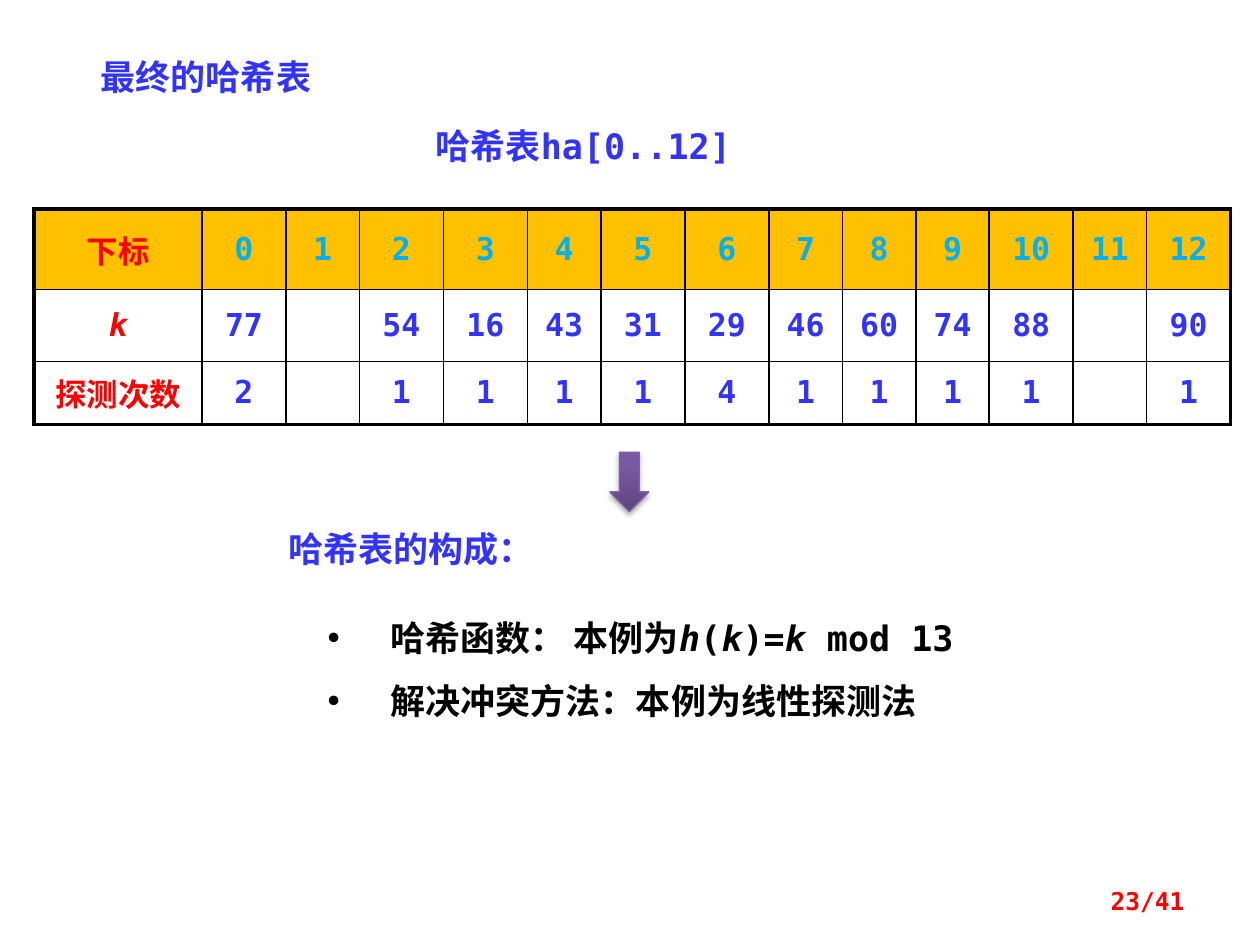
from dataclasses import dataclass

from lxml import etree
from pptx import Presentation
from pptx.dml.color import RGBColor
from pptx.enum.shapes import MSO_SHAPE
from pptx.enum.text import MSO_ANCHOR, MSO_AUTO_SIZE, PP_ALIGN
from pptx.oxml import parse_xml
from pptx.oxml.ns import qn
from pptx.util import Inches, Pt

DOWN_ARROW = MSO_SHAPE.DOWN_ARROW
TOP, MIDDLE = MSO_ANCHOR.TOP, MSO_ANCHOR.MIDDLE
LEFT, CENTER, RIGHT = PP_ALIGN.LEFT, PP_ALIGN.CENTER, PP_ALIGN.RIGHT
NO_AUTOSIZE = MSO_AUTO_SIZE.NONE

GRID_COLUMNS = 100
SLIDE_WIDTH, SLIDE_HEIGHT = Inches(10), Inches(7.5)
UNIT = SLIDE_WIDTH // GRID_COLUMNS
DRAWING = 'xmlns:a="http://schemas.openxmlformats.org/drawingml/2006/main"'
FONT = "DejaVu Sans Mono"
BLUE, RED, BLACK, WHITE = "3333FF", "FF0000", "000000", "FFFFFF"
SKY, AMBER, PURPLE = "00B0F0", "FFC000", "7D60A0"
THICK, THIN = 2.25, 1


@dataclass
class Area:
    column: float
    row: float
    columns: float
    rows: float

    def lengths(self) -> tuple:
        return tuple(int(n * UNIT) for n in (self.column, self.row, self.columns, self.rows))


@dataclass
class Label:
    text: str
    area: Area
    size: float = 20
    color: str = BLUE
    align: PP_ALIGN = LEFT
    anchor: MSO_ANCHOR = TOP


@dataclass
class TableRow:
    heading: str
    values: list
    rows: float
    color: str
    fill: str = ""
    italic_heading: bool = False


TITLE = Label("最终的哈希表", Area(7, 3.9, 30.5, 4.4))
LABELS = [
    Label("哈希表ha[0..12]", Area(33.6, 9.4, 29.7, 4.4)),
    Label("哈希表的构成：", Area(21.9, 41.4, 24.2, 4.4)),
    Label("23/41", Area(71.7, 69.5, 23.3, 4), 14, RED, RIGHT, MIDDLE),
]
TABLE_ROWS = [
    TableRow("下标", list(range(13)), 6.4, SKY, AMBER),
    TableRow("k", [77, "", 54, 16, 43, 31, 29, 46, 60, 74, 88, "", 90], 5.7, BLUE,
             italic_heading=True),
    TableRow("探测次数", [2, "", 1, 1, 1, 1, 4, 1, 1, 1, 1, "", 1], 5, BLUE),
]
NARROW_INDEXES = {1, 4, 7, 8, 9, 11}
COLUMN_WIDTHS = [13.33] + [5.83 if i in NARROW_INDEXES else 6.67 for i in range(13)]
TABLE_AREA = Area(2.7, 16.6, sum(COLUMN_WIDTHS), sum(row.rows for row in TABLE_ROWS))
LIST_AREA = Area(25, 46.5, 57.8, 11.5)
LIST_ITEMS = [
    [("哈希函数： 本例为", False), ("h", True), ("(", False), ("k", True),
     (")=", False), ("k", True), (" mod 13", False)],
    [("解决冲突方法：本例为线性探测法", False)],
]
ARROW_AREA = Area(48.4, 35.9, 3.1, 4.7)
ARROW_STOPS = [(0, "5F4480"), (80, "7B58A6"), (100, "7C57A8")]


def rgb(color: str) -> RGBColor:
    return RGBColor.from_string(color)


def style(para, size: float, color: str, italic: bool = False) -> None:
    font = para.font
    font.name, font.size, font.bold, font.italic = FONT, Pt(size), True, italic
    font.color.rgb = rgb(color)


def place(shape, area: Area) -> None:
    shape.left, shape.top, shape.width, shape.height = area.lengths()


def write_label(box, label: Label) -> None:
    frame = box.text_frame
    frame.word_wrap, frame.auto_size = True, NO_AUTOSIZE
    frame.vertical_anchor = label.anchor
    para = frame.paragraphs[0]
    para.text, para.alignment = label.text, label.align
    style(para, label.size, label.color)


def set_borders(cell, widths: dict) -> None:
    for side, width in widths.items():
        cell._tc.get_or_add_tcPr().append(parse_xml(
            f'<a:ln{side} {DRAWING} w="{Pt(width)}"><a:solidFill>'
            f'<a:srgbClr val="{BLACK}"/></a:solidFill></a:ln{side}>'))


def draw_table(page) -> None:
    table = page.shapes.add_table(
        len(TABLE_ROWS), len(COLUMN_WIDTHS), *TABLE_AREA.lengths()).table
    for column, width in zip(table.columns, COLUMN_WIDTHS):
        column.width = int(width * UNIT)
    last_row, last_column = len(TABLE_ROWS) - 1, len(COLUMN_WIDTHS) - 1
    for r, row in enumerate(TABLE_ROWS):
        table.rows[r].height = int(row.rows * UNIT)
        for c, value in enumerate([row.heading] + row.values):
            cell = table.cell(r, c)
            set_borders(cell, {
                "L": THICK if c == 0 else THIN,
                "R": THICK if c == last_column else THIN,
                "T": THICK if r == 0 else THIN,
                "B": THICK if r == last_row else THIN,
            })
            if row.fill:
                cell.fill.solid()
                cell.fill.fore_color.rgb = rgb(row.fill)
            else:
                cell.fill.background()
            cell.vertical_anchor = MIDDLE
            para = cell.text_frame.paragraphs[0]
            para.text, para.alignment = str(value), CENTER
            heading = c == 0
            style(para, 18, RED if heading else row.color, heading and row.italic_heading)


def write_list(body) -> None:
    place(body, LIST_AREA)
    body.fill.solid()
    body.fill.fore_color.rgb = rgb(WHITE)
    frame = body.text_frame
    frame.word_wrap, frame.auto_size = True, NO_AUTOSIZE
    frame.vertical_anchor = TOP
    frame.margin_top, frame.margin_bottom = Inches(0.08), Inches(0.12)
    for number, item in enumerate(LIST_ITEMS):
        para = frame.add_paragraph() if number else frame.paragraphs[0]
        para.line_spacing, para.space_before = 1.5, Pt(0)
        properties = para._p.get_or_add_pPr()
        properties.set("marL", str(Inches(0.5)))
        properties.set("indent", str(-Inches(0.5)))
        etree.SubElement(properties, qn("a:buChar")).set("char", "•")
        style(para, 20, BLACK)
        for text, italic in item:
            span = para.add_run()
            span.text = text
            if italic:
                span.font.italic = True


def draw_arrow(page) -> None:
    arrow = page.shapes.add_shape(DOWN_ARROW, *ARROW_AREA.lengths())
    arrow.line.color.rgb = rgb(PURPLE)
    arrow.line.width = Pt(0.75)
    stops = "".join(f'<a:gs pos="{share * 1000}"><a:srgbClr val="{color}"/></a:gs>'
                    for share, color in ARROW_STOPS)
    properties = arrow._element.spPr
    properties.find(qn("a:prstGeom")).addnext(parse_xml(
        f'<a:gradFill {DRAWING} rotWithShape="1"><a:gsLst>{stops}</a:gsLst>'
        '<a:lin ang="16200000" scaled="0"/></a:gradFill>'))
    properties.append(parse_xml(
        f'<a:effectLst {DRAWING}><a:outerShdw blurRad="{Pt(3.1)}" dist="{Pt(1.8)}" '
        f'dir="5400000" rotWithShape="0"><a:srgbClr val="{BLACK}">'
        '<a:alpha val="35000"/></a:srgbClr></a:outerShdw></a:effectLst>'))


def main() -> None:
    deck = Presentation()
    deck.slide_width, deck.slide_height = SLIDE_WIDTH, SLIDE_HEIGHT
    page = deck.slides.add_slide(deck.slide_layouts[1])
    title, body = page.placeholders
    place(title, TITLE.area)
    write_label(title, TITLE)
    write_list(body)
    draw_table(page)
    for label in LABELS:
        write_label(page.shapes.add_textbox(*label.area.lengths()), label)
    draw_arrow(page)
    deck.save("out.pptx")


if __name__ == "__main__":
    main()
